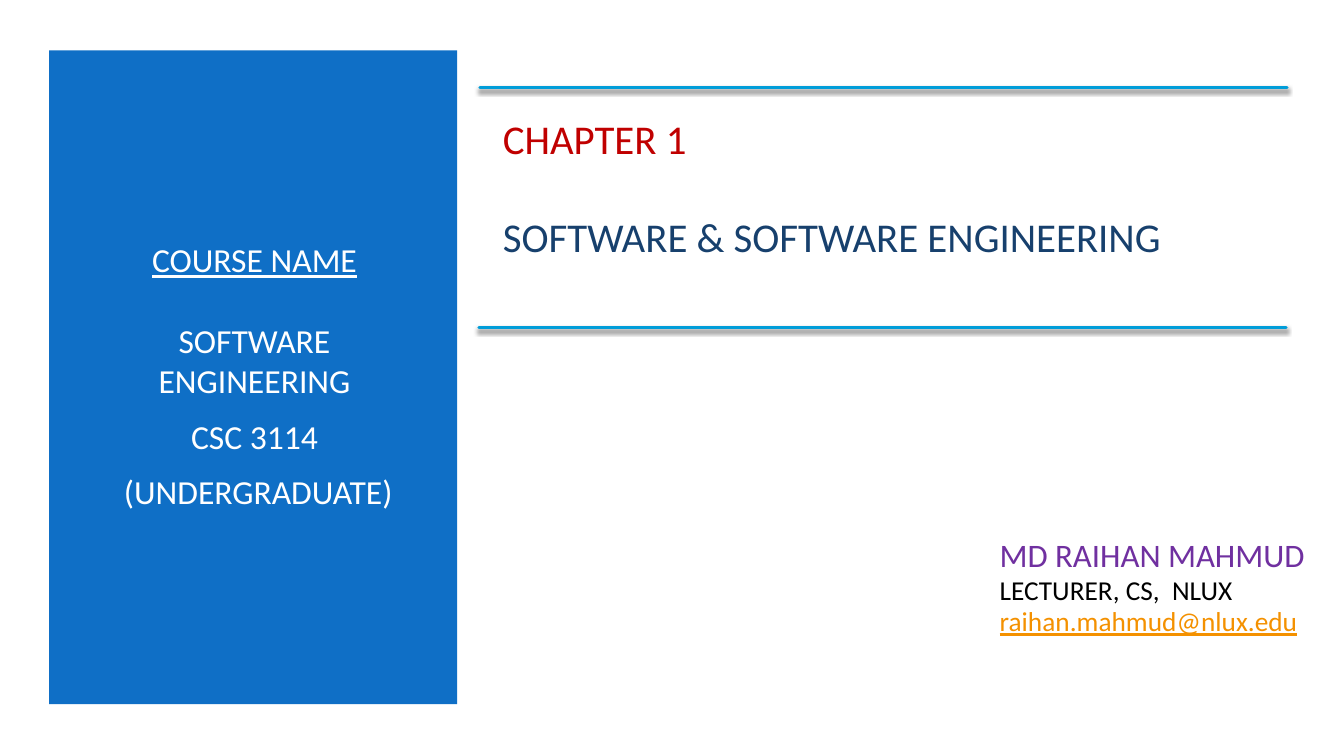
from copy import deepcopy

from lxml.etree import SubElement
from pptx import Presentation
from pptx.dml.color import RGBColor
from pptx.enum.shapes import MSO_CONNECTOR, MSO_SHAPE
from pptx.enum.text import MSO_ANCHOR, PP_ALIGN
from pptx.oxml.ns import qn
from pptx.util import Pt

COLORS = {
    "white": "FFFFFF",
    "panel": "0F6FC6",
    "rule": "009DD9",
    "chapter": "C00000",
    "topic": "17406D",
    "name": "7030A0",
    "body": "000000",
    "email": "F49100",
    "shadow": "000000",
}


class SlideBuilder:
    font = "Calibri"

    def __init__(self, prs):
        self.s = prs.slides.add_slide(prs.slide_layouts[1])

    def color(self, name):
        return RGBColor.from_string(COLORS[name])

    def place(self, sp, left, top, width, height):
        sp.left, sp.top = Pt(left), Pt(top)
        sp.width, sp.height = Pt(width), Pt(height)

    def panel(self, left, top, width, height):
        sp = self.s.shapes.add_shape(
            MSO_SHAPE.RECTANGLE, Pt(left), Pt(top), Pt(width), Pt(height))
        sp.shadow.inherit = False
        sp.fill.solid()
        sp.fill.fore_color.rgb = self.color("panel")
        sp.line.fill.background()
        self.s.shapes._spTree.insert(2, sp._element)

    def rule(self, left, top, width):
        ln = self.s.shapes.add_connector(
            MSO_CONNECTOR.STRAIGHT, Pt(left), Pt(top), Pt(left + width), Pt(top))
        ln.line.color.rgb = self.color("rule")
        ln.line.width = Pt(2)
        ln.line._get_or_add_ln().set("cap", "rnd")
        effects = SubElement(ln._element.spPr, qn("a:effectLst"))
        shadow = SubElement(effects, qn("a:outerShdw"), blurRad=str(Pt(3)),
                            dist=str(Pt(2)), dir="5400000", rotWithShape="0")
        clr = SubElement(shadow, qn("a:srgbClr"), val=COLORS["shadow"])
        SubElement(clr, qn("a:alpha"), val="55000")

    def text(self, sp, text, styles, align=PP_ALIGN.LEFT, before=0, after=0, spacing=1.0):
        tf = sp.text_frame
        tf.word_wrap = True
        tf.vertical_anchor = MSO_ANCHOR.MIDDLE
        tf.text = text
        for p in tf.paragraphs:
            p.alignment = align
            p.space_before, p.space_after = Pt(before), Pt(after)
            p.line_spacing = spacing
            pPr = p._p.get_or_add_pPr()
            pPr.set("marL", "0")
            pPr.set("indent", "0")
            SubElement(pPr, qn("a:buNone"))
        runs = [r for p in tf.paragraphs for r in p.runs]
        for r, (size, color, underline) in zip(runs, styles):
            r.font.name = self.font
            r.font.size = Pt(size)
            r.font.color.rgb = self.color(color)
            r.font.underline = underline
        for p in tf.paragraphs:
            for br in p._p.findall(qn("a:br")):
                br.append(deepcopy(p.runs[0]._r.rPr))

    def title(self, box, text, styles):
        sp = self.s.shapes.title
        self.place(sp, *box)
        self.text(sp, text, styles)

    def body(self, box, text, styles):
        sp = self.s.placeholders[1]
        self.place(sp, *box)
        self.text(sp, text, styles, PP_ALIGN.CENTER, before=4.8, after=6)

    def textbox(self, box, text, styles):
        sp = self.s.shapes.add_textbox(*map(Pt, box))
        self.text(sp, text, styles, spacing=0.96)


def main():
    prs = Presentation()
    prs.slide_width, prs.slide_height = Pt(960), Pt(540)
    slide = SlideBuilder(prs)
    slide.panel(35, 36, 291.6, 467)
    slide.body(
        (60.5, 79.2, 242.6, 378),
        "COURSE NAME\v\vSOFTWARE ENGINEERING\nCSC 3114\n (UNDERGRADUATE)",
        [(24, "white", True)] + [(24, "white", False)] * 3)
    slide.title(
        (352, 79.2, 565.2, 108.7),
        "CHAPTER 1\v\vSOFTWARE & SOFTWARE ENGINEERING",
        [(29.2, "chapter", False), (29.2, "topic", False)])
    slide.textbox(
        (707, 355, 252, 129.6),
        "MD RAIHAN MAHMUD\nLECTURER, CS,  NLUX\nraihan.mahmud@nlux.edu",
        [(23.4, "name", False), (19.5, "body", False), (19.5, "email", True)])
    for left, top in ((342.7, 62.6), (342, 234)):
        slide.rule(left, top, 576.7)
    prs.save("out.pptx")


if __name__ == "__main__":
    main()
